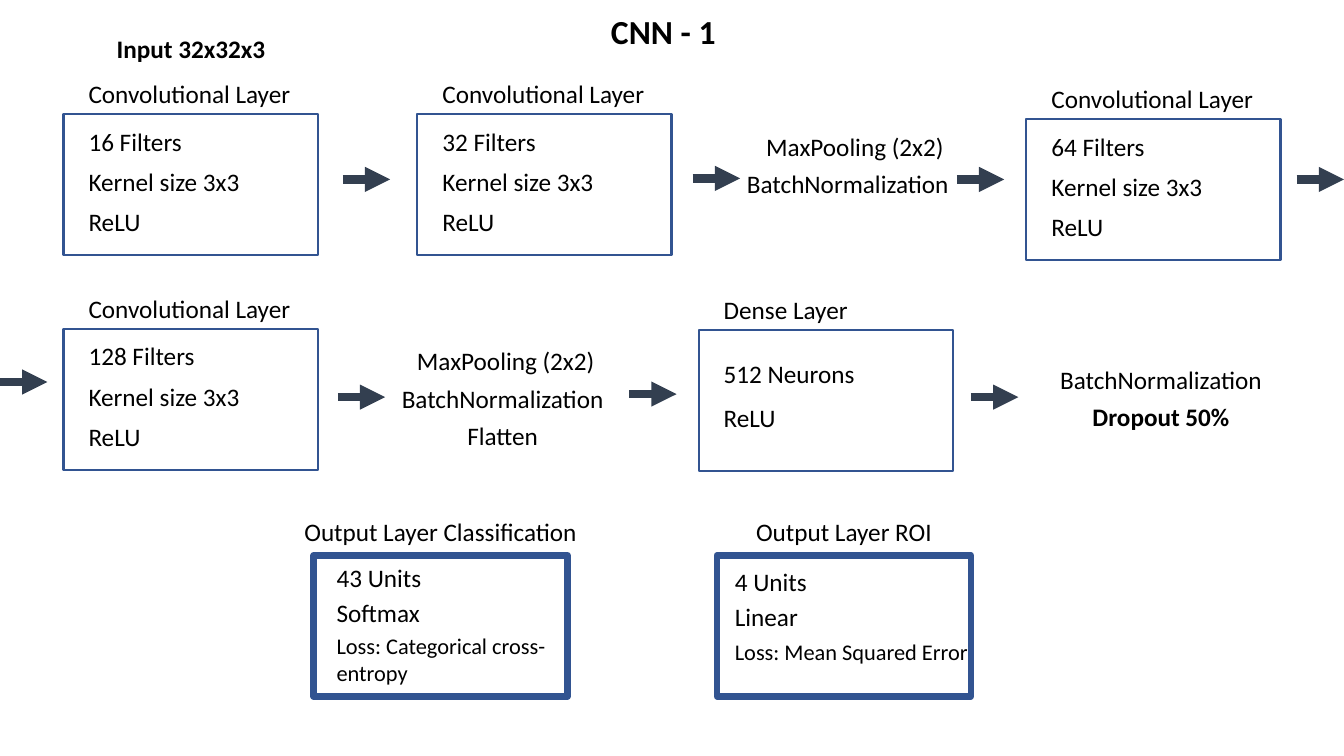
import pptx
import pptx.dml.color
import pptx.enum.shapes
import pptx.enum.text
import pptx.oxml
import pptx.oxml.ns
import pptx.util

Inches, Pt = pptx.util.Inches, pptx.util.Pt
RGBColor = pptx.dml.color.RGBColor
LEFT = pptx.enum.text.PP_ALIGN.LEFT
CENTER = pptx.enum.text.PP_ALIGN.CENTER

BLACK = RGBColor(0x00, 0x00, 0x00)
BOX_BLUE = RGBColor(0x32, 0x54, 0x91)
ARROW_SLATE = RGBColor(0x33, 0x3F, 0x50)
FONT = "Calibri"

TITLE = "CNN - 1"
INPUT = "Input 32x32x3"
KERNEL, ACTIVATION = "Kernel size 3x3", "ReLU"

# left, top, filters
CONV_LAYERS = [
    (0.63, 1.13, "16 Filters"),
    (4.14, 1.13, "32 Filters"),
    (10.18, 1.18, "64 Filters"),
    (0.63, 3.26, "128 Filters"),
]
DENSE_LAYER = (6.93, 3.27, "Dense Layer", ["512 Neurons", ACTIVATION])

# box left, heading, heading left and width, units, activation, first line top, loss, loss top and height
OUTPUT_LAYERS = [
    (3.11, "Output Layer Classification", 2.92, 2.91, "43 Units", "Softmax", 3.24, 5.53,
     "Loss: Categorical cross-entropy", 6.22, 0.64),
    (7.11, "Output Layer ROI", 7.4, 1.98, "4 Units", "Linear", 7.19, 5.57,
     "Loss: Mean Squared Error", 6.28, 0.37),
]

# text, left, top, width, alignment, bold
STEPS = [
    (INPUT, 0.78, 0.28, 2.23, CENTER, True),
    ("MaxPooling (2x2)", 7.5, 1.25, 2.05, LEFT, False),
    ("BatchNormalization", 7.31, 1.62, 2.41, LEFT, False),
    ("MaxPooling (2x2)", 3.99, 3.38, 2.05, CENTER, False),
    ("BatchNormalization", 3.78, 3.75, 2.41, CENTER, False),
    ("Flatten", 3.78, 4.12, 2.41, CENTER, False),
    ("BatchNormalization", 10.31, 3.57, 2.41, CENTER, False),
    ("Dropout 50%", 10.31, 3.93, 2.41, CENTER, True),
]

# left, height on the slide
ARROWS = [(3.4, 1.78), (6.87, 1.77), (9.49, 1.78), (12.86, 1.78),
          (0, 3.79), (3.35, 3.94), (6.24, 3.91), (9.63, 3.94)]

BOX_WIDTH, BOX_HEIGHT = 2.52, 1.4
LABEL_INDENT, LABEL_WIDTH, LABEL_HEIGHT = 0.15, 2.23, 0.4
ARROW_LENGTH = 0.47
OUTPUT_TOP, OUTPUT_HEADING_TOP, OUTPUT_PITCH = 5.51, 5.07, 0.35

presentation = pptx.Presentation()
presentation.slide_width = Inches(13.33)
presentation.slide_height = Inches(7.5)
slide = presentation.slides.add_slide(presentation.slide_layouts[5])


def write(frame, text, size, bold, align):
    frame.word_wrap = True
    frame.vertical_anchor = pptx.enum.text.MSO_ANCHOR.TOP
    frame.text = text
    line = frame.paragraphs[0]
    line.alignment = align
    line.font.name = FONT
    line.font.size = Pt(size)
    line.font.bold = bold
    line.font.color.rgb = BLACK


def add_label(text, left, top, width=LABEL_WIDTH, align=LEFT, bold=False,
              size=18, height=LABEL_HEIGHT):
    label = slide.shapes.add_textbox(Inches(left), Inches(top), Inches(width), Inches(height))
    write(label.text_frame, text, size, bold, align)


def add_box(left, top, border):
    box = slide.shapes.add_shape(
        pptx.enum.shapes.MSO_SHAPE.RECTANGLE,
        Inches(left), Inches(top), Inches(BOX_WIDTH), Inches(BOX_HEIGHT))
    box.shadow.inherit = False
    box.fill.background()
    box.line.color.rgb = BOX_BLUE
    box.line.width = Pt(border)


def add_layer(left, top, heading, lines, first, pitch):
    """Draw a box with a heading above it and evenly spaced lines inside."""
    add_box(left, top, 1.5)
    add_label(heading, left + LABEL_INDENT, top - LABEL_HEIGHT)
    for row, text in enumerate(lines):
        add_label(text, left + LABEL_INDENT, top + first + row * pitch)


def add_arrow(left, y):
    arrow = slide.shapes.add_connector(
        pptx.enum.shapes.MSO_CONNECTOR.STRAIGHT,
        Inches(left), Inches(y), Inches(left + ARROW_LENGTH), Inches(y))
    arrow.line.color.rgb = ARROW_SLATE
    arrow.line.width = Pt(6)
    nsdecls = pptx.oxml.ns.nsdecls("a")
    arrow.line._get_or_add_ln().append(
        pptx.oxml.parse_xml(f'<a:tailEnd {nsdecls} type="triangle"/>'))
    arrow._element.spPr.append(pptx.oxml.parse_xml(f"<a:effectLst {nsdecls}/>"))


title = slide.shapes.title
title.left, title.top = Inches(5.96), Inches(0.06)
title.width, title.height = Inches(1.35), Inches(0.5)
write(title.text_frame, TITLE, 24, True, LEFT)
title.text_frame.auto_size = pptx.enum.text.MSO_AUTO_SIZE.NONE

for left, top, filters in CONV_LAYERS:
    add_layer(left, top, "Convolutional Layer", [filters, KERNEL, ACTIVATION], 0.07, 0.4)
add_layer(*DENSE_LAYER, 0.24, 0.43)

for (left, heading, heading_left, heading_width, units, activation, text_left, text_top,
     loss, loss_top, loss_height) in OUTPUT_LAYERS:
    add_box(left, OUTPUT_TOP, 4.5)
    add_label(heading, heading_left, OUTPUT_HEADING_TOP, heading_width)
    add_label(units, text_left, text_top, 1.12)
    add_label(activation, text_left, text_top + OUTPUT_PITCH, 1.12)
    add_label(loss, text_left, loss_top, 2.55, size=16, height=loss_height)

for step in STEPS:
    add_label(*step)
for left, y in ARROWS:
    add_arrow(left, y)

presentation.save("out.pptx")
